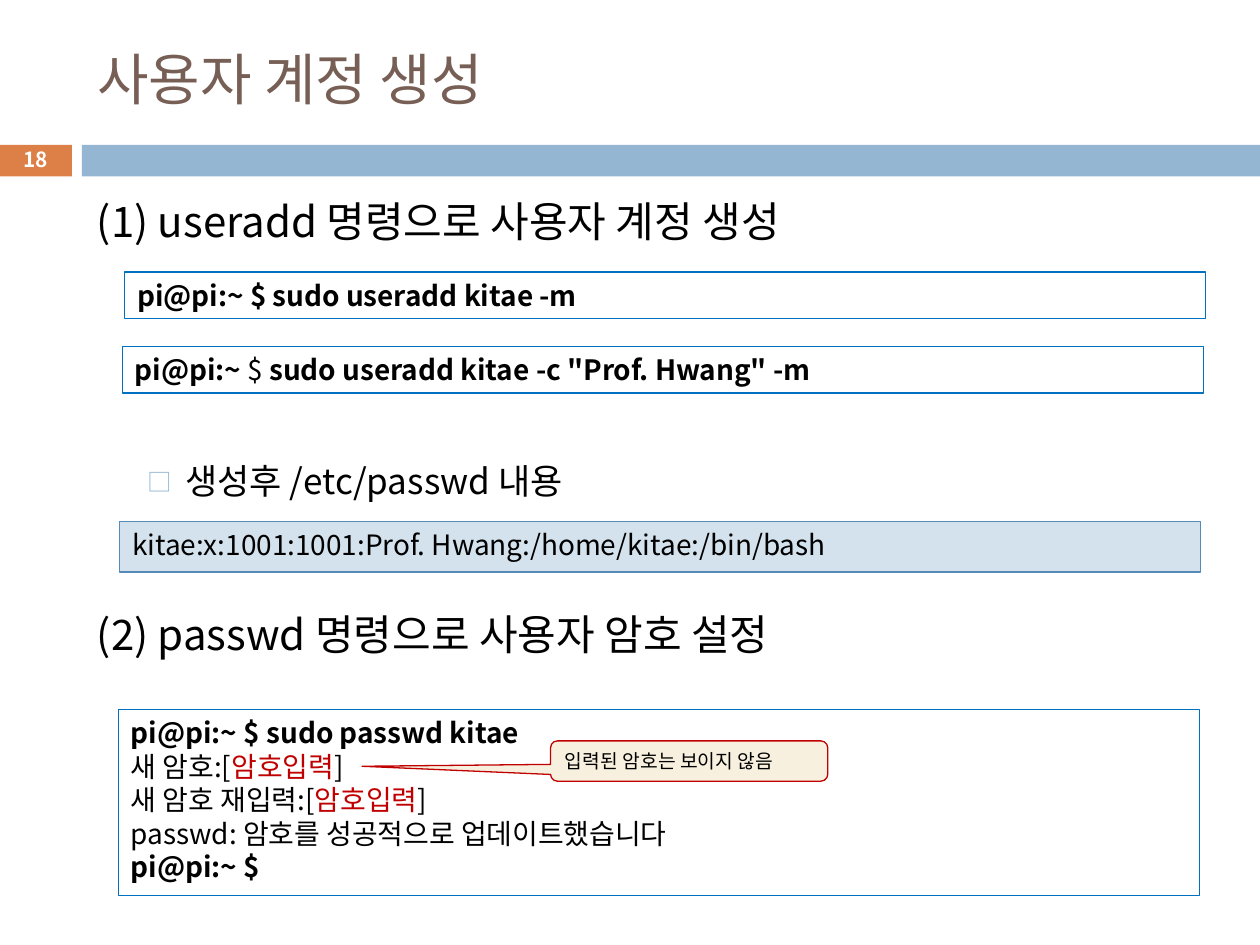
from lxml.etree import SubElement
from pptx import Presentation
from pptx.dml.color import RGBColor
from pptx.enum.shapes import MSO_SHAPE
from pptx.enum.text import MSO_ANCHOR, PP_ALIGN
from pptx.oxml.ns import qn
from pptx.util import Inches, Pt

FONT = "Noto Sans CJK KR"
LINE_HEIGHT = 1.2
BLACK, WHITE, RED = "000000", "FFFFFF", "C00000"
BLUE, STEEL, ORANGE, BROWN = "0070C0", "94B6D2", "DD8047", "775F55"


def color(value):
    return RGBColor.from_string(value)


class SlideBuilder:
    """Places elements on a grid of 100 columns by 75 rows."""

    def __init__(self, presentation):
        self.column = presentation.slide_width / 100
        self.row = presentation.slide_height / 75
        self.slide = presentation.slides.add_slide(presentation.slide_layouts[5])

    def area(self, left, top, width, height):
        return (round(left * self.column), round(top * self.row),
                round(width * self.column), round(height * self.row))

    def add_lines(self, shape, lines, size, ink=BLACK, bold=False,
                  align=PP_ALIGN.LEFT, anchor=MSO_ANCHOR.TOP):
        """Each line is a list of runs: (text, options that differ)."""
        frame = shape.text_frame
        frame.word_wrap = True
        frame.vertical_anchor = anchor
        frame.margin_left = frame.margin_right = Inches(0.1)
        frame.margin_top = frame.margin_bottom = Inches(0.05)
        for index, runs in enumerate(lines):
            paragraph = frame.paragraphs[0] if index == 0 else frame.add_paragraph()
            paragraph.alignment = align
            paragraph.line_spacing = Pt(size * LINE_HEIGHT)
            for text, options in runs:
                run = paragraph.add_run()
                run.text = text
                run.font.size = Pt(size)
                run.font.bold = options.get("bold", bold)
                run.font.color.rgb = color(options.get("ink", ink))
                run.font.name = FONT
                SubElement(run.font._element, qn("a:ea"), typeface=FONT)

    def title(self, area, text):
        shape = self.slide.shapes.title
        shape.left, shape.top, shape.width, shape.height = self.area(*area)
        self.add_lines(shape, [[(text, {})]], 32, BROWN, anchor=MSO_ANCHOR.MIDDLE)

    def box(self, area, fill, line=None, kind=MSO_SHAPE.RECTANGLE):
        shape = self.slide.shapes.add_shape(kind, *self.area(*area))
        shape.shadow.inherit = False
        shape.fill.solid()
        shape.fill.fore_color.rgb = color(fill)
        if line:
            shape.line.color.rgb = color(line)
            shape.line.width = Pt(0.75)
        else:
            shape.line.fill.background()
        return shape

    def text(self, area, text, size, **style):
        shape = self.slide.shapes.add_textbox(*self.area(*area))
        self.add_lines(shape, [[(text, {})]], size, **style)
        return shape

    def bullet(self, area, text, size):
        shape = self.text(area, text, size)
        properties = shape.text_frame.paragraphs[0]._p.get_or_add_pPr()
        properties.set("marL", str(Inches(0.7)))
        properties.set("indent", str(Inches(-0.3)))
        bullet_color = SubElement(properties, qn("a:buClr"))
        SubElement(bullet_color, qn("a:srgbClr"), val=STEEL)
        SubElement(properties, qn("a:buSzPct"), val="70000")
        SubElement(properties, qn("a:buFont"), typeface=FONT)
        SubElement(properties, qn("a:buChar"), char="□")

    def terminal(self, left, top, height, lines, fill=WHITE, line=BLUE):
        shape = self.box((left, top, 85.8, height), fill, line)
        self.add_lines(shape, lines, 16)

    def callout(self, area, text, adjustments):
        shape = self.box(area, "F7F0DE", RED, MSO_SHAPE.ROUNDED_RECTANGULAR_CALLOUT)
        for index, value in enumerate(adjustments):
            shape.adjustments[index] = value
        self.add_lines(shape, [[(text, {})]], 11)


def main():
    presentation = Presentation()
    presentation.slide_width, presentation.slide_height = Inches(10), Inches(7.5)
    builder = SlideBuilder(presentation)
    bold = {"bold": True}
    password = ("암호입력", {"ink": RED})

    # Header band, page number and title
    builder.box((-0.1, 11.5, 5.8, 2.5), ORANGE)
    builder.box((6.5, 11.5, 93.5, 2.5), STEEL)
    builder.text((-0.1, 11.3, 5.8, 2.7), "18", 11.9, ink=WHITE, bold=True,
                 align=PP_ALIGN.CENTER, anchor=MSO_ANCHOR.MIDDLE)
    builder.title((6.7, 2.5, 89.2, 7.4), "사용자 계정 생성")

    # Step headings and bullet
    builder.text((6.7, 15, 89.2, 5), "(1) useradd 명령으로 사용자 계정 생성", 24)
    builder.bullet((6.7, 36, 89.2, 4.3), "생성후 /etc/passwd 내용", 20)
    builder.text((6.7, 47.8, 89.2, 5), "(2) passwd 명령으로 사용자 암호 설정", 24)

    # Terminal boxes
    builder.terminal(9.9, 21.6, 3.7, [[("pi@pi:~ $ sudo useradd kitae -m", bold)]])
    builder.terminal(9.7, 27.5, 3.7, [[
        ("pi@pi:~ ", bold), ("$ ", {}),
        ('sudo useradd kitae -c "Prof. Hwang" -m', bold)]])
    builder.terminal(9.5, 41.4, 4, [[
        ("kitae:x:1001:1001:Prof. Hwang:/home/kitae:/bin/bash", {})]],
        "D4E2ED", "558BB8")
    builder.terminal(9.4, 56.3, 14.8, [
        [("pi@pi:~ $ sudo passwd kitae", bold)],
        [("새 암호:[", {}), password, ("]", {})],
        [("새 암호 재입력:[", {}), password, ("]", {})],
        [("passwd: 암호를 성공적으로 업데이트했습니다", {})],
        [("pi@pi:~ $", bold)]])

    # Note on the hidden password
    builder.callout((43.7, 58.8, 22, 3.2), "입력된 암호는 보이지 않음",
                    (-1.18, 0.13, 0.17))

    presentation.save("out.pptx")


if __name__ == "__main__":
    main()
